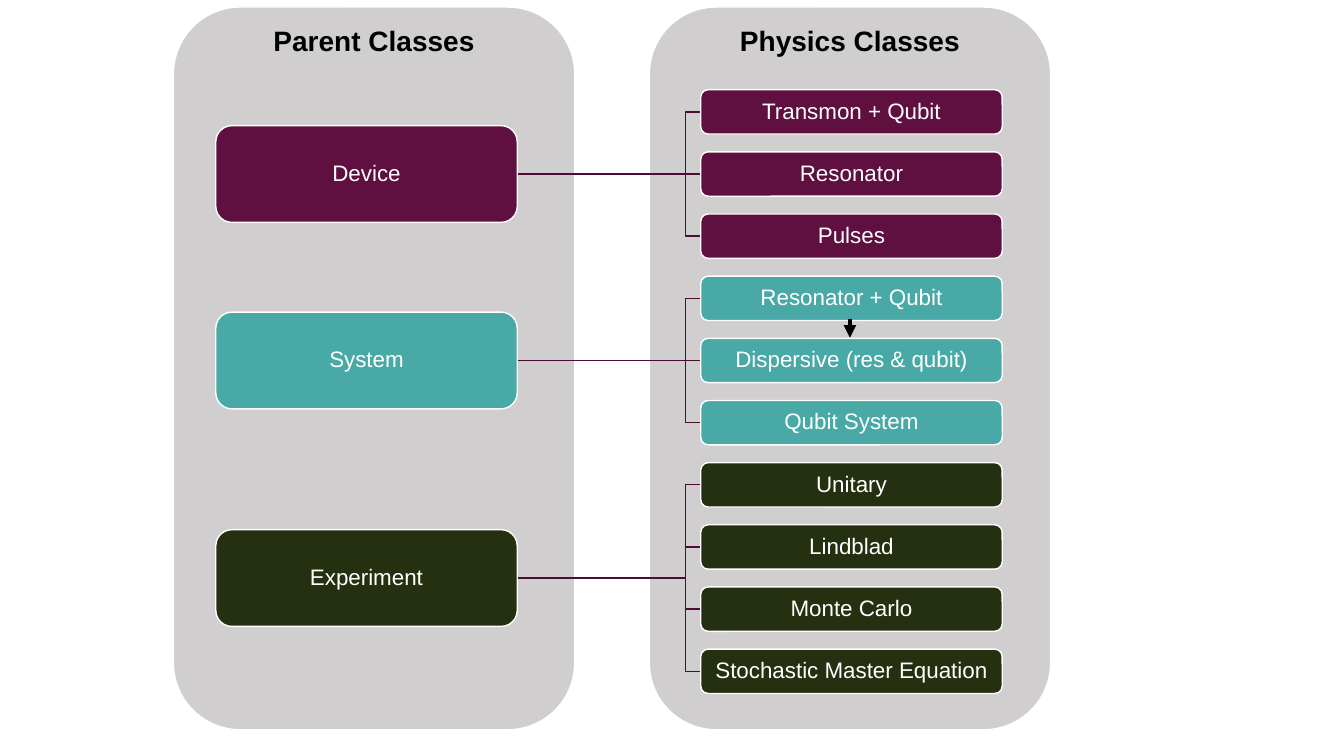
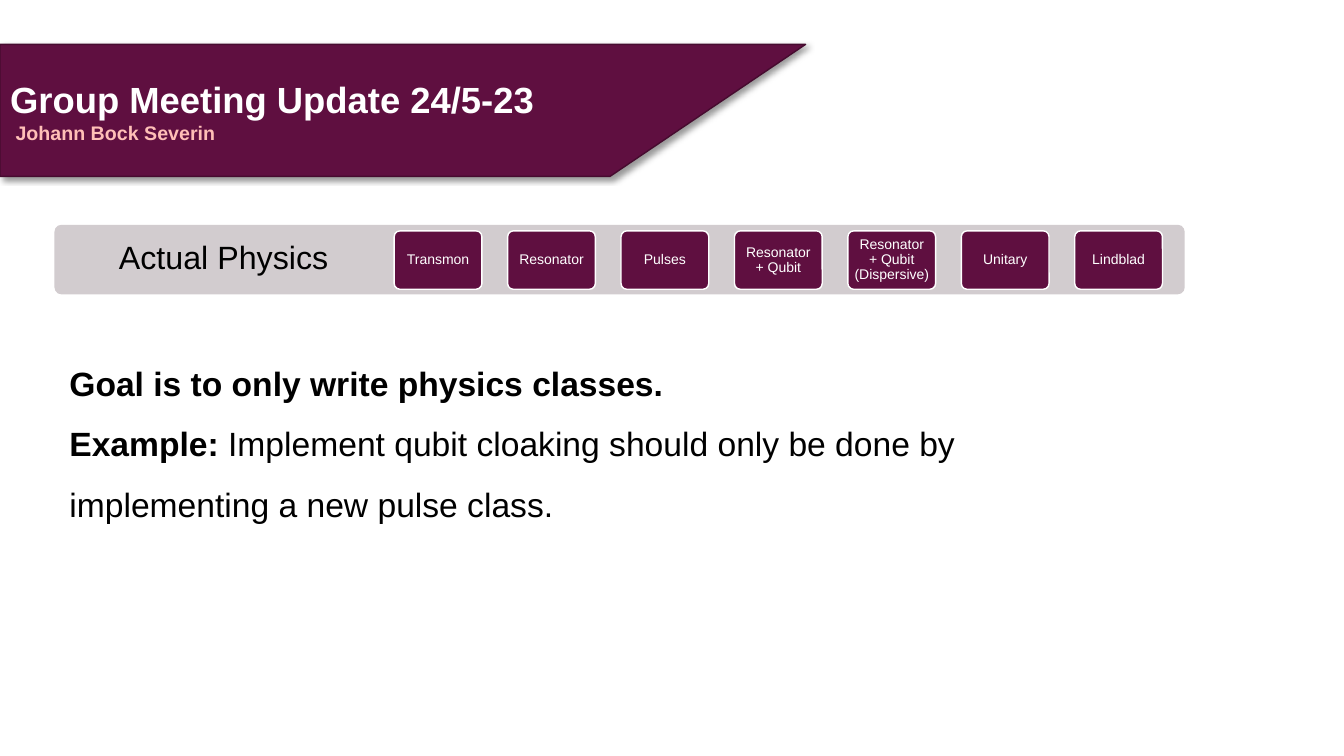
from lxml import etree
from pptx import Presentation
from pptx.dml.color import RGBColor
from pptx.enum.shapes import MSO_CONNECTOR, MSO_SHAPE
from pptx.enum.text import MSO_ANCHOR, MSO_AUTO_SIZE, PP_ALIGN
from pptx.oxml import parse_xml
from pptx.oxml.ns import nsdecls, qn
from pptx.util import Inches, Pt

ROUNDED = MSO_SHAPE.ROUNDED_RECTANGLE
STRAIGHT = MSO_CONNECTOR.STRAIGHT
TOP, MIDDLE = MSO_ANCHOR.TOP, MSO_ANCHOR.MIDDLE
LEFT, CENTER = PP_ALIGN.LEFT, PP_ALIGN.CENTER

FONT = "Arial"
COLORS = {
    "plum": "5F0F40", "plum_edge": "460B2F", "branch": "4C0C33",
    "teal": "48A9A6", "olive": "243010", "panel": "D0CECE",
    "strip": "D2CCCF", "pink": "FFBFB7", "white": "FFFFFF", "black": "000000",
}
RGB = {name: RGBColor.from_string(value) for name, value in COLORS.items()}


def style_text(paragraph, size, color, bold=False, align=LEFT, spacing=1.0):
    font = paragraph.font
    font.name, font.size, font.bold = FONT, Pt(size), bold
    font.color.rgb = RGB[color]
    paragraph.alignment, paragraph.line_spacing = align, spacing


def add_box(slide, box, fill, text, size, color="white", bold=False,
            anchor=MIDDLE, inset=0.01):
    shape = slide.shapes.add_shape(ROUNDED, *map(Inches, box))
    shape.shadow.inherit = False
    shape.fill.solid()
    shape.fill.fore_color.rgb = RGB[fill]
    shape.line.color.rgb = RGB["white"]
    shape.line.width = Pt(1)
    frame = shape.text_frame
    frame.word_wrap, frame.vertical_anchor = True, anchor
    frame.margin_left = frame.margin_right = Inches(inset)
    frame.margin_top = frame.margin_bottom = Inches(inset)
    frame.text = text
    style_text(frame.paragraphs[0], size, color, bold, CENTER, 0.9)
    return shape


prs = Presentation()
prs.slide_width, prs.slide_height = Inches(13.33), Inches(7.5)
title_only, blank = prs.slide_layouts[5], prs.slide_layouts[6]

# Slide 1: class hierarchy
hierarchy = prs.slides.add_slide(blank)
for heading, left in (("Physics Classes", 6.44), ("Parent Classes", 1.72)):
    add_box(hierarchy, (left, 0.07, 3.98, 7.17), "panel", heading, 20,
            "black", True, TOP)

families = [
    ("Device", "plum", ["Transmon + Qubit", "Resonator", "Pulses"]),
    ("System", "teal",
     ["Resonator + Qubit", "Dispersive (res & qubit)", "Qubit System"]),
    ("Experiment", "olive",
     ["Unitary", "Lindblad", "Monte Carlo", "Stochastic Master Equation"]),
]
BOX_WIDTH, PARENT_HEIGHT, CHILD_HEIGHT = 2.99, 0.96, 0.44
PARENT_LEFT, CHILD_LEFT, BEND = 2.14, 6.95, 6.8
PARENT_RIGHT = PARENT_LEFT + BOX_WIDTH
FIRST_CENTER, ROW_STEP = 1.11, 5.55 / 9

connectors = []
row = 0
for parent, color, children in families:
    centers = [FIRST_CENTER + ROW_STEP * (row + i) for i in range(len(children))]
    row += len(children)
    parent_center = (centers[0] + centers[-1]) / 2

    # Branches from the parent to each child
    for center in centers:
        if abs(center - parent_center) < 0.01:
            branch = hierarchy.shapes.add_connector(
                STRAIGHT, Inches(PARENT_RIGHT), Inches(parent_center),
                Inches(CHILD_LEFT), Inches(parent_center))
            connectors.append(branch)
        else:
            outline = hierarchy.shapes.build_freeform(
                Inches(PARENT_RIGHT), Inches(parent_center))
            corners = [(BEND, parent_center), (BEND, center), (CHILD_LEFT, center)]
            outline.add_line_segments(
                [(Inches(x), Inches(y)) for x, y in corners], close=False)
            branch = outline.convert_to_shape()
            branch.shadow.inherit = False
            branch.fill.background()
        branch.line.color.rgb = RGB["branch"]
        branch.line.width = Pt(1)

    # Parent and child boxes
    add_box(hierarchy, (PARENT_LEFT, parent_center - PARENT_HEIGHT / 2,
                        BOX_WIDTH, PARENT_HEIGHT), color, parent, 16)
    for child, center in zip(children, centers):
        add_box(hierarchy, (CHILD_LEFT, center - CHILD_HEIGHT / 2,
                            BOX_WIDTH, CHILD_HEIGHT), color, child, 16)

# Arrow from the full system to its dispersive form
dispersive_arrow = hierarchy.shapes.add_connector(
    STRAIGHT, Inches(8.43), Inches(3.16), Inches(8.43), Inches(3.35))
dispersive_arrow.line.color.rgb = RGB["black"]
dispersive_arrow.line.width = Pt(3)
etree.SubElement(dispersive_arrow.line._get_or_add_ln(), qn("a:tailEnd"),
                 type="triangle")
connectors.append(dispersive_arrow)
for connector in connectors:
    etree.SubElement(connector.element.spPr, qn("a:effectLst"))

# Slide 2: title band
update = prs.slides.add_slide(title_only)
band_outline = update.shapes.build_freeform(Inches(0), Inches(0.44))
band_outline.add_line_segments(
    [(Inches(x), Inches(y)) for x, y in ((7.99, 0.44), (6.05, 1.75), (0, 1.75))])
band = band_outline.convert_to_shape()
band.fill.solid()
band.fill.fore_color.rgb = RGB["plum"]
band.line.color.rgb = RGB["plum_edge"]
band.line.width = Pt(1)
band.shadow.inherit = False
band.element.spPr.find(qn("a:effectLst")).append(parse_xml(
    f'<a:outerShdw {nsdecls("a")} blurRad="{Pt(4)}" dist="{Pt(3)}" dir="2700000" '
    f'algn="tl" rotWithShape="0"><a:srgbClr val="{COLORS["black"]}">'
    '<a:alpha val="40000"/></a:srgbClr></a:outerShdw>'))

title = update.shapes.title
title.element.addprevious(band.element)
title.left, title.top = Inches(0), Inches(0.44)
title.width, title.height = Inches(7), Inches(1.31)
title_frame = title.text_frame
title_frame.auto_size = MSO_AUTO_SIZE.NONE
title_frame.vertical_anchor = MIDDLE
title_frame.text = "Group Meeting Update 24/5-23\n Johann Bock Severin"
heading, author = title_frame.paragraphs
style_text(heading, 26, "white", True)
style_text(author, 14, "pink", True)

# Strip of physics classes
strip = add_box(update, (0.54, 2.23, 11.21, 0.69), "strip", "Actual Physics",
                23, "black", inset=0.16)
strip.adjustments[0] = 0.1
strip.line.fill.background()
strip.text_frame.margin_right = Inches(8.01)

physics_classes = ["Transmon", "Resonator", "Pulses", "Resonator + Qubit",
                   "Resonator + Qubit (Dispersive)", "Unitary", "Lindblad"]
for i, physics_class in enumerate(physics_classes):
    chip = add_box(update, (3.91 + 1.125 * i, 2.29, 0.87, 0.58), "plum",
                   physics_class, 10, inset=0.04)
    chip.adjustments[0] = 0.1

# Goal and example
goal_box = update.shapes.add_textbox(
    Inches(0.59), Inches(3.35), Inches(11.03), Inches(1.84))
goal_frame = goal_box.text_frame
goal_frame.word_wrap = True
goal = goal_frame.paragraphs[0]
goal.text = "Goal is to only write physics classes."
style_text(goal, 24, "black", True, spacing=1.5)
example = goal_frame.add_paragraph()
style_text(example, 24, "black", spacing=1.5)
for wording, bold in (
        ("Example: ", True),
        ("Implement qubit cloaking should only be done by "
         "implementing a new pulse class.", False)):
    run = example.add_run()
    run.text, run.font.bold = wording, bold

prs.save("out.pptx")
